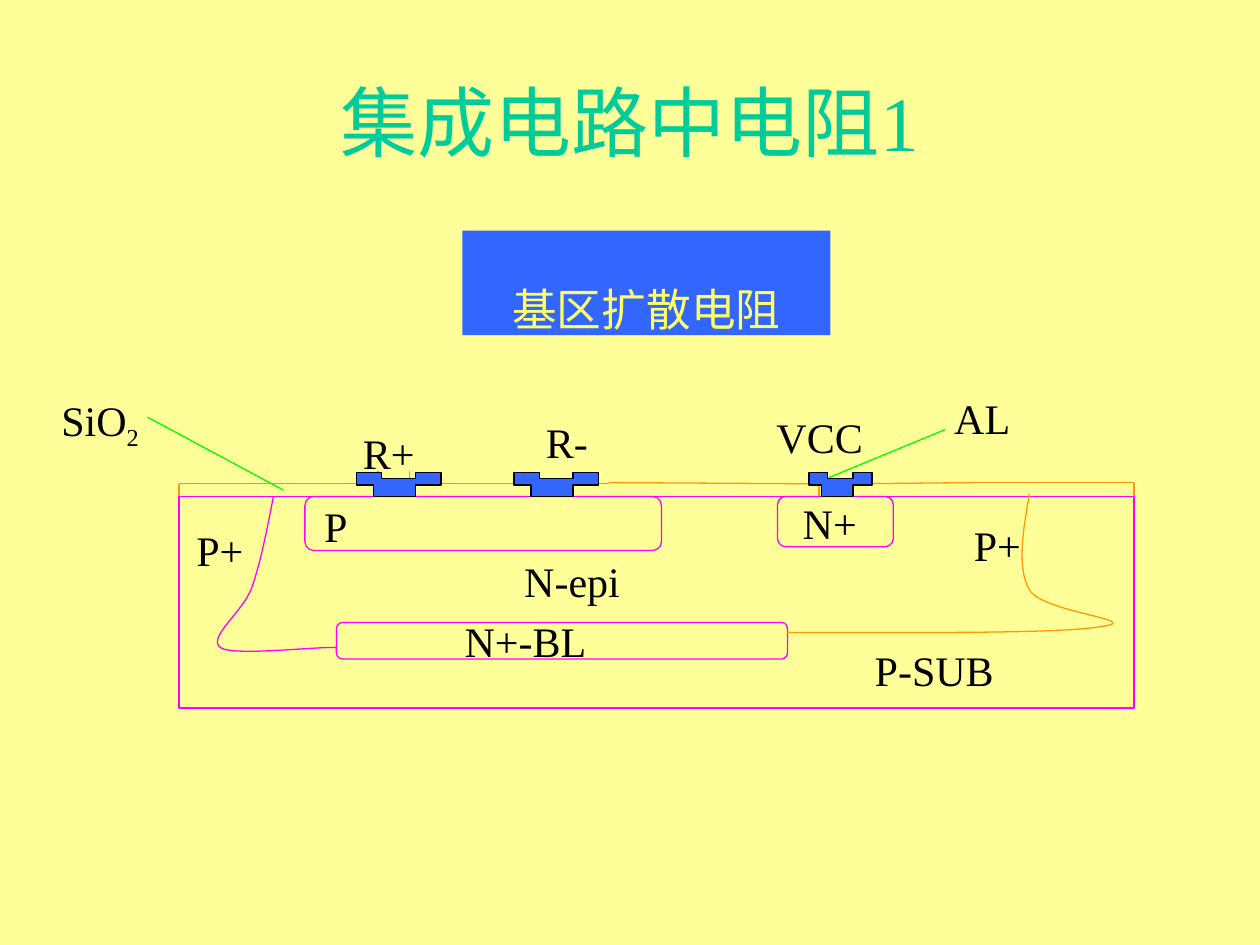
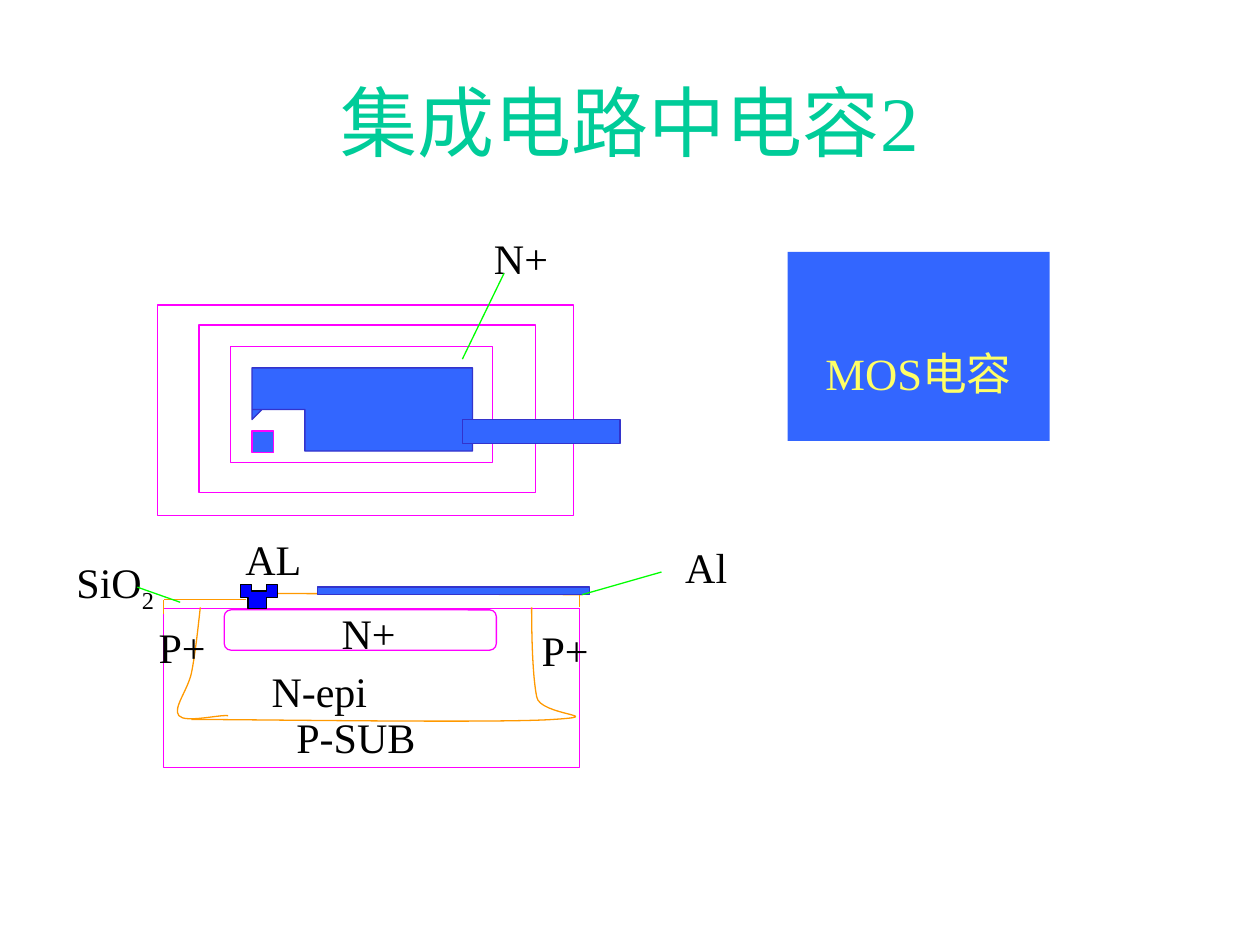
"""Build two slides on resistors and capacitors in integrated circuits."""
from dataclasses import dataclass
from typing import Optional

import lxml.etree
import pptx
import pptx.dml.color
import pptx.enum.shapes
import pptx.enum.text
import pptx.oxml.ns
import pptx.presentation
import pptx.shapes.base
import pptx.slide
import pptx.util

Inches = pptx.util.Inches
Color = pptx.dml.color.RGBColor
Shape = pptx.shapes.base.BaseShape
Slide = pptx.slide.Slide
Point = tuple[float, float]
Box = tuple[float, float, float, float]
RECT = pptx.enum.shapes.MSO_SHAPE.RECTANGLE
ROUNDED = pptx.enum.shapes.MSO_SHAPE.ROUNDED_RECTANGLE
SUBSCRIPT = "-25000"
LETTER_ROOM = 0.24


@dataclass(frozen=True)
class Theme:
    font: str = "Times New Roman"
    title_size: int = 44
    label_size: int = 24
    line_width: float = 0.75
    cream: Color = Color(0xFF, 0xFF, 0x99)
    white: Color = Color(0xFF, 0xFF, 0xFF)
    title: Color = Color(0x00, 0xCC, 0x99)
    ink: Color = Color(0x00, 0x00, 0x00)
    metal: Color = Color(0x33, 0x66, 0xFF)
    metal_edge: Color = Color(0x33, 0x33, 0xCC)
    deep_metal: Color = Color(0x00, 0x00, 0xFF)
    caption: Color = Color(0xFF, 0xFF, 0x66)
    silicon: Color = Color(0xFF, 0x00, 0xFF)
    oxide: Color = Color(0xFF, 0x99, 0x00)
    leader: Color = Color(0x00, 0xFF, 0x00)


THEME = Theme()


@dataclass(frozen=True)
class Label:
    text: str
    box: Box
    subscript: str = ""


@dataclass(frozen=True)
class Segment:
    start: Point
    end: Point


@dataclass(frozen=True)
class Region:
    box: Box
    kind: int = RECT
    fill: Optional[Color] = None
    line: Optional[Color] = THEME.silicon


@dataclass(frozen=True)
class Contact:
    left: float
    top: float
    width: float
    fill: Color = THEME.metal


def style(shape: Shape, fill: Optional[Color], line: Optional[Color]) -> None:
    """Set the fill and outline of a shape and drop its shadow."""
    shape.shadow.inherit = False
    if fill is None:
        shape.fill.background()
    else:
        shape.fill.solid()
        shape.fill.fore_color.rgb = fill
    if line is None:
        shape.line.fill.background()
    else:
        shape.line.color.rgb = line
        shape.line.width = pptx.util.Pt(THEME.line_width)


def write(shape: Shape, runs: list[tuple[str, bool]], size: int, color: Color) -> None:
    """Write centred runs of text, lowered where flagged, into a shape."""
    frame = shape.text_frame
    frame.word_wrap = True
    frame.auto_size = pptx.enum.text.MSO_AUTO_SIZE.NONE
    frame.margin_left = frame.margin_right = 0
    frame.vertical_anchor = pptx.enum.text.MSO_ANCHOR.MIDDLE
    paragraph = frame.paragraphs[0]
    paragraph.alignment = pptx.enum.text.PP_ALIGN.CENTER
    for text, lowered in runs:
        run = paragraph.add_run()
        run.text = text
        run.font.name = THEME.font
        run.font.size = pptx.util.Pt(size)
        run.font.color.rgb = color
        if lowered:
            run._r.get_or_add_rPr().set("baseline", SUBSCRIPT)


def start_slide(deck: pptx.presentation.Presentation, title: str, background: Color) -> Slide:
    """Add a blank slide with its background and title."""
    slide = deck.slides.add_slide(deck.slide_layouts[6])
    slide.background.fill.solid()
    slide.background.fill.fore_color.rgb = background
    heading = slide.shapes.add_textbox(*map(Inches, (0.75, 0.33, 8.5, 1.25)))
    write(heading, [(title, False)], THEME.title_size, THEME.title)
    return slide


def draw_region(slide: Slide, region: Region) -> Shape:
    """Draw one rectangular region."""
    shape = slide.shapes.add_shape(region.kind, *map(Inches, region.box))
    style(shape, region.fill, region.line)
    return shape


def draw_caption(slide: Slide, text: str, box: Box) -> None:
    """Draw the blue panel that names the device."""
    panel = draw_region(slide, Region(box, fill=THEME.metal, line=None))
    write(panel, [(text, True)], THEME.title_size, THEME.caption)


def draw_labels(slide: Slide, labels: list[Label]) -> None:
    """Draw black labels, widened about their centre to hold one line."""
    for label in labels:
        left, top, width, height = label.box
        room = max(width, LETTER_ROOM * len(label.text + label.subscript))
        box = (left - (room - width) / 2, top, room, height)
        runs = [(label.text, False)]
        if label.subscript:
            runs.append((label.subscript, True))
        write(slide.shapes.add_textbox(*map(Inches, box)), runs, THEME.label_size, THEME.ink)


def draw_segments(slide: Slide, segments: list[Segment], color: Color) -> None:
    """Draw straight lines of one colour."""
    for segment in segments:
        line = slide.shapes.add_connector(
            pptx.enum.shapes.MSO_CONNECTOR.STRAIGHT, *map(Inches, segment.start + segment.end))
        line.line.color.rgb = color
        line.line.width = pptx.util.Pt(THEME.line_width)
        lxml.etree.SubElement(line._element.spPr, pptx.oxml.ns.qn("a:effectLst"))


def draw_outline(slide: Slide, points: list[Point], fill: Optional[Color], line: Color,
                 close: bool = False) -> Shape:
    """Draw a freeform through the given points."""
    start, *rest = [(Inches(x), Inches(y)) for x, y in points]
    builder = slide.shapes.build_freeform(*start)
    builder.add_line_segments(rest, close=close)
    shape = builder.convert_to_shape()
    style(shape, fill, line)
    return shape


def draw_curve(slide: Slide, points: list[Point], color: Color) -> None:
    """Draw a chain of cubic curves, three points to each after the first."""
    qn = pptx.oxml.ns.qn
    shape = draw_outline(slide, points, None, color)
    outline = shape._element.find(".//" + qn("a:path"))
    steps = outline.findall(qn("a:lnTo"))
    for first in range(0, len(steps), 3):
        curve = lxml.etree.SubElement(outline, qn("a:cubicBezTo"))
        for step in steps[first:first + 3]:
            curve.append(step[0])
            outline.remove(step)


def draw_contact(slide: Slide, contact: Contact) -> None:
    """Draw a notched metal contact reaching down through the oxide."""
    profile = [(0, 0.1), (0, 0), (0.3, 0), (0.3, 0.05), (0.7, 0.05), (0.7, 0),
               (1, 0), (1, 0.1), (0.7, 0.1), (0.7, 0.19), (0.2, 0.19), (0.2, 0.1)]
    points = [(contact.left + x * contact.width, contact.top + y) for x, y in profile]
    draw_outline(slide, points, contact.fill, THEME.ink, close=True)


def build_resistor(deck: pptx.presentation.Presentation) -> None:
    """Build the base diffusion resistor slide."""
    slide = start_slide(deck, "集成电路中电阻1", THEME.cream)
    substrate = Region((1.42, 3.94, 7.58, 1.68))
    buried_layer = Region((2.67, 4.94, 3.58, 0.29), ROUNDED)
    base = Region((2.42, 3.94, 2.83, 0.43), ROUNDED)
    epi_contact = Region((6.17, 3.94, 0.92, 0.4), ROUNDED)
    for region in (substrate, buried_layer, base, epi_contact):
        draw_region(slide, region)
    draw_curve(slide, [(2.17, 3.94), (2.12, 4.2), (2.07, 4.46), (2, 4.66), (1.93, 4.86),
                       (1.64, 5.06), (1.75, 5.14), (1.86, 5.21), (2.51, 5.13), (2.67, 5.14)],
               THEME.silicon)
    surface, oxide_top = 3.94, 3.84
    edges = [(1.42, oxide_top), (3, 3.74), (3.25, 3.74), (4.25, oxide_top), (4.5, oxide_top),
             (6.5, oxide_top), (6.75, oxide_top), (9, 3.83)]
    tops = [(1.42, 3.84, 3, 3.84), (3.25, 3.84, 4.25, 3.84), (4.5, 3.84, 4.83, 3.84),
            (4.83, 3.83, 6.5, 3.84), (6.75, 3.84, 7.75, 3.83), (7.67, 3.83, 9, 3.83)]
    draw_segments(slide, [Segment((x, y), (x, surface)) for x, y in edges], THEME.oxide)
    draw_segments(slide, [Segment(top[:2], top[2:]) for top in tops], THEME.oxide)
    for left in (2.83, 4.08):
        draw_contact(slide, Contact(left, 3.75, 0.67))
    draw_labels(slide, [
        Label("AL", (7.42, 3.17, 0.75, 0.29)),
        Label("SiO", (0.42, 3.21, 0.75, 0.29), "2"),
        Label("R+", (2.92, 3.45, 0.33, 0.29)),
        Label("P", (2.5, 4.03, 0.33, 0.29)),
        Label("P+", (1.58, 4.22, 0.33, 0.29)),
        Label("P-SUB", (6.58, 5.17, 1.67, 0.29)),
        Label("N+", (6.42, 4, 0.33, 0.29)),
        Label("R-", (4.25, 3.36, 0.5, 0.29)),
        Label("VCC", (6.17, 3.33, 0.67, 0.27)),
        Label("N+-BL", (3.67, 4.94, 1, 0.29)),
        Label("N-epi", (4, 4.46, 1.08, 0.29)),
        Label("P+", (7.75, 4.18, 0.33, 0.29)),
    ])
    draw_segments(slide, [Segment((1.17, 3.31), (2.25, 3.89)),
                          Segment((6.58, 3.79), (7.5, 3.41))], THEME.leader)
    draw_curve(slide, [(8.17, 3.92), (8.12, 4.21), (8.07, 4.51), (8.17, 4.68), (8.27, 4.86),
                       (9.08, 4.92), (8.76, 4.97), (8.44, 5.03), (7.35, 5.02), (6.25, 5.02)],
               THEME.oxide)
    draw_contact(slide, Contact(6.42, 3.75, 0.5))
    draw_caption(slide, "基区扩散电阻", (3.67, 1.83, 2.92, 0.83))


def build_capacitor(deck: pptx.presentation.Presentation) -> None:
    """Build the MOS capacitor slide with its section and top view."""
    slide = start_slide(deck, "集成电路中电容2", THEME.white)
    draw_caption(slide, "MOS电容", (6.25, 2, 2.08, 1.5))
    substrate = Region((1.3, 4.83, 3.3, 1.26))
    diffusion = Region((1.78, 4.84, 2.16, 0.32), ROUNDED)
    for region in (substrate, diffusion):
        draw_region(slide, region)
    draw_curve(slide, [(1.59, 4.82), (1.57, 5), (1.55, 5.19), (1.52, 5.34), (1.49, 5.48),
                       (1.37, 5.62), (1.42, 5.68), (1.47, 5.74), (1.74, 5.67), (1.81, 5.68)],
               THEME.oxide)
    oxide = [(4.6, 4.82, 4.6, 4.7), (1.3, 4.76, 1.95, 4.76), (1.99, 4.68, 1.99, 4.83),
             (2.1, 4.68, 2.1, 4.83), (2.1, 4.71, 4.62, 4.72), (1.3, 4.87, 1.3, 4.76)]
    draw_segments(slide, [Segment(ends[:2], ends[2:]) for ends in oxide], THEME.oxide)
    draw_contact(slide, Contact(1.91, 4.64, 0.29, THEME.deep_metal))
    draw_labels(slide, [
        Label("Al", (5.34, 4.25, 0.53, 0.5)),
        Label("SiO", (0.75, 4.54, 0.33, 0.21), "2"),
        Label("AL", (1.99, 4.33, 0.36, 0.21)),
        Label("P+", (1.37, 5.03, 0.15, 0.21)),
        Label("P-SUB", (2.46, 5.74, 0.73, 0.21)),
        Label("N-epi", (2.29, 5.37, 0.49, 0.22)),
        Label("P+", (4.41, 5.05, 0.15, 0.21)),
        Label("N+", (2.71, 4.9, 0.43, 0.25)),
        Label("N+", (3.92, 1.92, 0.43, 0.25)),
    ])
    draw_curve(slide, [(4.22, 4.82), (4.22, 5.1), (4.23, 5.38), (4.26, 5.53), (4.28, 5.68),
                       (4.85, 5.68), (4.39, 5.71), (3.94, 5.74), (2, 5.71), (1.52, 5.71)],
               THEME.oxide)
    plate_section = Region((2.52, 4.66, 2.16, 0.06), fill=THEME.metal, line=THEME.metal_edge)
    isolation = Region((1.25, 2.42, 3.3, 1.67))
    island = Region((1.58, 2.58, 2.67, 1.33))
    diffusion_top = Region((1.83, 2.75, 2.08, 0.92))
    contact_window = Region((2, 3.42, 0.17, 0.17), fill=THEME.metal)
    for region in (plate_section, isolation, island, diffusion_top, contact_window):
        draw_region(slide, region)
    draw_outline(slide, [(2, 3.25), (2.42, 3.25), (2.42, 3.58), (3.75, 3.58), (3.75, 2.92),
                         (2, 2.92), (2, 3.33), (2.08, 3.25)], THEME.metal, THEME.metal_edge)
    draw_segments(slide, [Segment((1.09, 4.66), (1.43, 4.78)),
                          Segment((5.25, 4.54), (4.62, 4.72)),
                          Segment((4, 2.17), (3.67, 2.85))], THEME.leader)
    plate_lead = Region((3.67, 3.33, 1.25, 0.19), fill=THEME.metal, line=THEME.metal_edge)
    draw_region(slide, plate_lead)


def main() -> None:
    """Build and save the deck."""
    deck = pptx.Presentation()
    deck.slide_width, deck.slide_height = Inches(10), Inches(7.5)
    build_resistor(deck)
    build_capacitor(deck)
    deck.save("out.pptx")


if __name__ == "__main__":
    main()
